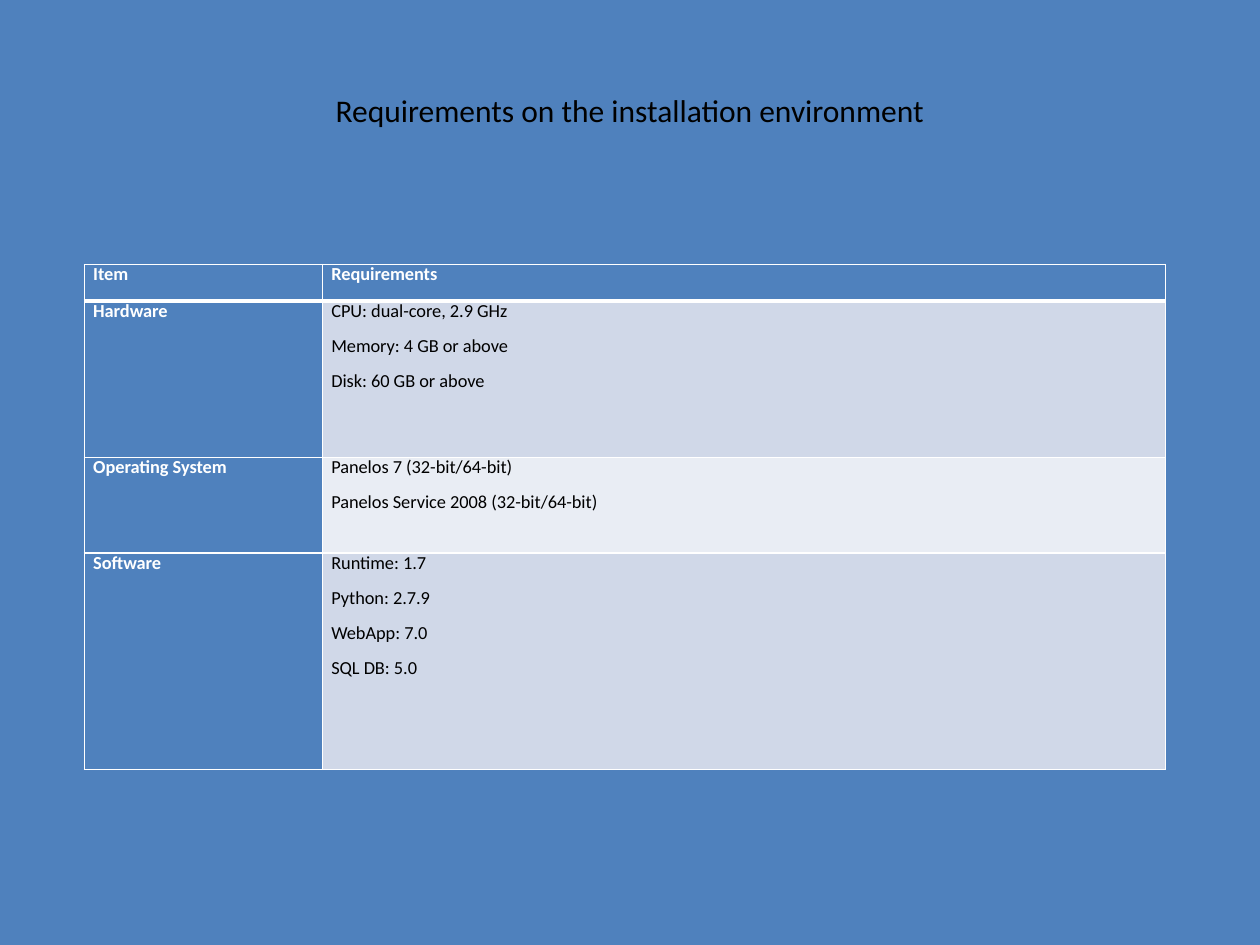
from lxml import etree
from pptx import Presentation
from pptx.dml.color import RGBColor
from pptx.enum.text import MSO_ANCHOR, PP_ALIGN
from pptx.oxml.ns import qn
from pptx.util import Inches, Pt

CENTER = PP_ALIGN.CENTER
TOP, MIDDLE = MSO_ANCHOR.TOP, MSO_ANCHOR.MIDDLE
BLUE = RGBColor(0x4F, 0x81, 0xBD)
BAND_DARK = RGBColor(0xD0, 0xD8, 0xE8)
BAND_LIGHT = RGBColor(0xE9, 0xED, 0xF4)
WHITE = RGBColor(0xFF, 0xFF, 0xFF)
BLACK = RGBColor(0, 0, 0)
FONT = "Calibri"
TITLE_ONLY = 5

COL_WIDTHS = [1.89, 6.69]
ROW_HEIGHTS = [0.29, 1.24, 0.76, 1.72]
REQUIREMENTS = [
    ("Item", ["Requirements"]),
    ("Hardware", ["CPU: dual-core, 2.9 GHz", "Memory: 4 GB or above",
                  "Disk: 60 GB or above"]),
    ("Operating System", ["Panelos 7 (32-bit/64-bit)",
                          "Panelos Service 2008 (32-bit/64-bit)"]),
    ("Software", ["Runtime: 1.7", "Python: 2.7.9", "WebApp: 7.0",
                  "SQL DB: 5.0"]),
]


def format_run(r, size, color, bold=False):
    """Set the font of one run."""
    r.font.name = FONT
    r.font.size = Pt(size)
    r.font.bold = bold
    r.font.color.rgb = color


def add_title(s, text):
    """Place and format the title placeholder."""
    title = s.shapes.title
    title.left, title.top = Inches(0.5), Inches(0.52)
    title.width, title.height = Inches(9), Inches(0.71)
    tf = title.text_frame
    tf.text = text
    tf.vertical_anchor = MIDDLE
    p = tf.paragraphs[0]
    p.alignment = CENTER
    format_run(p.runs[0], 18, BLACK)


def set_borders(cell, widths):
    """Draw white cell borders; widths are points for left, right, top, bottom."""
    tcPr = cell._tc.get_or_add_tcPr()
    for i, (side, width) in enumerate(zip("LRTB", widths)):
        ln = etree.Element(qn(f"a:ln{side}"), w=str(Pt(width)))
        fill = etree.SubElement(ln, qn("a:solidFill"))
        etree.SubElement(fill, qn("a:srgbClr"), val=str(WHITE))
        tcPr.insert(i, ln)


def fill_cell(cell, lines, fill, color, bold):
    """Write the lines of a cell and set its fill and margins."""
    cell.fill.solid()
    cell.fill.fore_color.rgb = fill
    cell.margin_left = cell.margin_right = Inches(0.07)
    cell.margin_top = cell.margin_bottom = 0
    cell.vertical_anchor = TOP
    tf = cell.text_frame
    tf.text = "\n".join(lines)
    for p in tf.paragraphs:
        p.line_spacing = Pt(12)
        p.space_before = p.space_after = Pt(4)
        format_run(p.runs[0], 10.5, color, bold)


def add_requirements_table(s):
    """Add the table with a header row, a header column and banded rows."""
    frame = s.shapes.add_table(
        len(ROW_HEIGHTS), len(COL_WIDTHS), Inches(0.67), Inches(2.1),
        Inches(sum(COL_WIDTHS)), Inches(sum(ROW_HEIGHTS)))
    table = frame.table
    for column, width in zip(table.columns, COL_WIDTHS):
        column.width = Inches(width)
    for i, (item, details) in enumerate(REQUIREMENTS):
        table.rows[i].height = Inches(ROW_HEIGHTS[i])
        for j, lines in enumerate(([item], details)):
            cell = table.cell(i, j)
            if i == 0 or j == 0:
                fill_cell(cell, lines, BLUE, WHITE, True)
            else:
                band = BAND_DARK if i % 2 else BAND_LIGHT
                fill_cell(cell, lines, band, BLACK, False)
            set_borders(cell, (1, 1, 3 if i == 1 else 1, 3 if i == 0 else 1))


def main():
    """Build the slide and save it."""
    prs = Presentation()
    prs.slide_width, prs.slide_height = Inches(10), Inches(7.5)
    s = prs.slides.add_slide(prs.slide_layouts[TITLE_ONLY])
    s.background.fill.solid()
    s.background.fill.fore_color.rgb = BLUE
    add_title(s, "Requirements on the installation environment")
    add_requirements_table(s)
    prs.save("out.pptx")


main()
